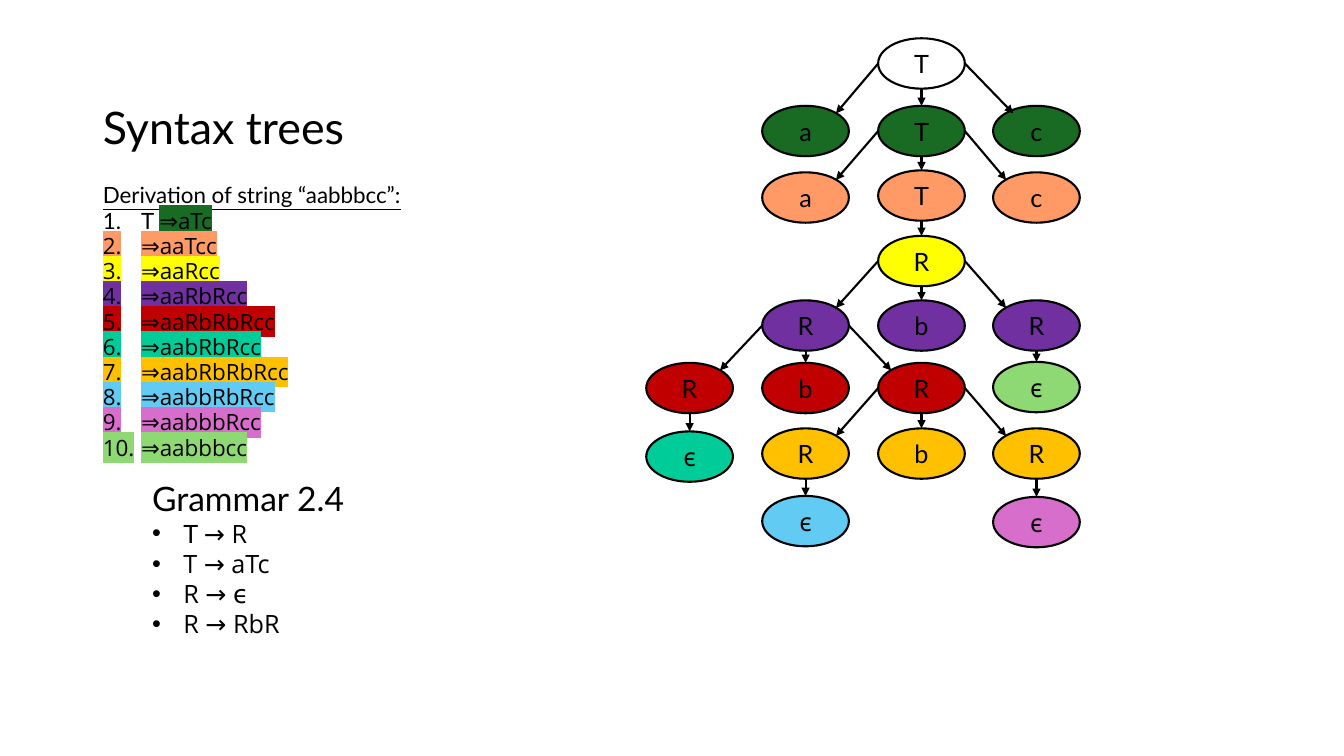
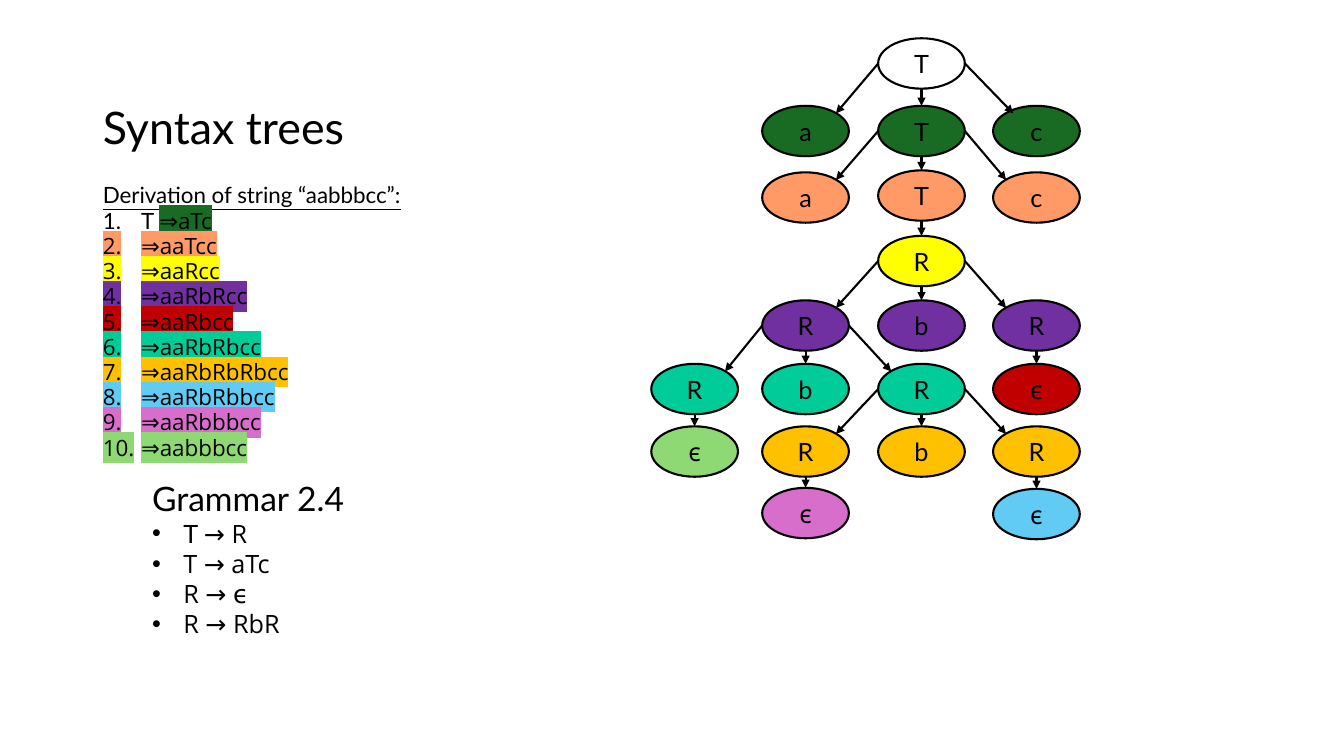
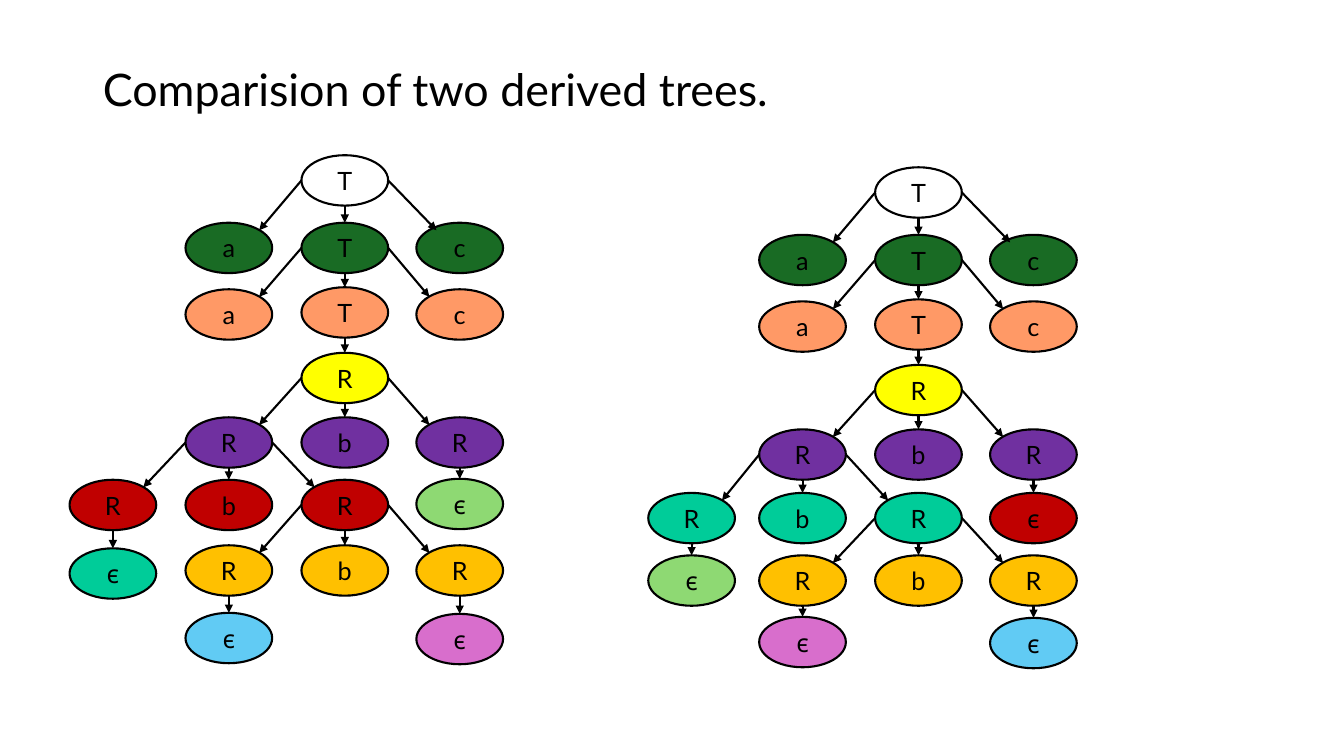
from collections import namedtuple

from lxml.etree import SubElement
from pptx import Presentation
from pptx.dml.color import RGBColor
from pptx.enum.shapes import MSO_CONNECTOR, MSO_SHAPE
from pptx.enum.text import MSO_ANCHOR, MSO_AUTO_SIZE, PP_ALIGN
from pptx.oxml.ns import qn
from pptx.util import Inches, Pt

Box = namedtuple("Box", "left top width height")
Node = namedtuple("Node", "key label fill x y parent tip_shift", defaults=[0])

TEXT_FONT, SYMBOL_FONT = "Lato", "Open Sans"
BLACK = "000000"
GREEN, ORANGE, YELLOW, PURPLE, RED = "196B24", "FF9966", "FFFF00", "7030A0", "C00000"
TEAL, GOLD, BLUE, PINK, LIME = "00CC99", "FFC000", "61CBF4", "D86ECC", "8ED973"
STEP_COLOURS = [GREEN, ORANGE, YELLOW, PURPLE, RED, TEAL, GOLD, BLUE, PINK, LIME]

NODE_WIDTH, NODE_HEIGHT = 0.86, 0.5
LEFT, MIDDLE, RIGHT = -1.15, 0, 1.14
DIAGONAL = 0.35

TITLE_BOX = Box(0.92, 0.5, 4.3, 1.08)
WIDE_TITLE_BOX = Box(0.92, 0.14, 7.54, 1.06)
DERIVATION_BOX = Box(0.92, 1.78, 4.3, 2.91)
GRAMMAR_BOX = Box(0.91, 4.69, 3.87, 1.72)

GRAMMAR_RULES = ["T → R", "T → aTc", "R → ϵ", "R → RbR"]
FIRST_STEPS = ["T ⇒aTc", "⇒aaTcc", "⇒aaRcc", "⇒aaRbRcc"]
LEFT_STEPS = FIRST_STEPS + [
    "⇒aaRbRbRcc", "⇒aabRbRcc", "⇒aabRbRbRcc", "⇒aabbRbRcc", "⇒aabbbRcc", "⇒aabbbcc"]
RIGHT_STEPS = FIRST_STEPS + [
    "⇒aaRbcc", "⇒aaRbRbcc", "⇒aaRbRbRbcc", "⇒aaRbRbbcc", "⇒aaRbbbcc", "⇒aabbbcc"]


def row_of_three(name, labels, fill, y, parent, left=LEFT, middle=MIDDLE, right=RIGHT):
    """Return three sibling nodes with keys such as name-0."""
    return [Node(f"{name}-{index}", label, fill, x, y, parent)
            for index, (label, x) in enumerate(zip(labels, (left, middle, right)))]


UPPER_NODES = [
    Node("root", "T", None, MIDDLE, 0, None),
    Node("outer-0", "a", GREEN, LEFT, 0.67, "root"),
    Node("outer-1", "T", GREEN, MIDDLE, 0.67, "root"),
    Node("outer-2", "c", GREEN, RIGHT, 0.67, "root", 0.07),
    Node("inner-0", "a", ORANGE, LEFT, 1.33, "outer-1"),
    Node("inner-1", "T", ORANGE, MIDDLE, 1.31, "outer-1"),
    Node("inner-2", "c", ORANGE, RIGHT, 1.33, "outer-1"),
    Node("start", "R", YELLOW, MIDDLE, 1.96, "inner-1"),
    *row_of_three("first", "RbR", PURPLE, 2.6, "start"),
]


def lower_nodes(far_left, split, second, leaves):
    """Return the nodes below the first R split; leaves hold fill and height."""
    split_fill, split_y = split
    leaf_columns = [("first-2", RIGHT), ("second-0", far_left), ("third-0", LEFT), ("third-2", RIGHT)]
    return [
        *row_of_three("second", "RbR", split_fill, split_y, "first-0", far_left, LEFT, MIDDLE),
        *row_of_three("third", "RbR", GOLD, second, "second-2"),
        *[Node(f"leaf-{parent}", "ϵ", fill, x, y, parent)
          for (parent, x), (fill, y) in zip(leaf_columns, leaves)],
    ]


LEFT_TREE = UPPER_NODES + lower_nodes(
    -2.3, (RED, 3.22), 3.87, [(LIME, 3.21), (TEAL, 3.9), (BLUE, 4.54), (PINK, 4.55)])
RIGHT_TREE = UPPER_NODES + lower_nodes(
    -2.25, (TEAL, 3.23), 3.85, [(RED, 3.23), (LIME, 3.85), (PINK, 4.46), (BLUE, 4.47)])


def rgb(colour):
    """Turn a hex string into a colour."""
    return RGBColor.from_string(colour)


def set_font(font, size, name=TEXT_FONT):
    """Apply size, typeface and black to a font."""
    font.size = Pt(size)
    font.name = name
    font.color.rgb = rgb(BLACK)


def place(shape, box):
    """Move and size a shape."""
    shape.left, shape.top, shape.width, shape.height = [Inches(length) for length in box]


def add_bullet(paragraph, tag, margin, indent, **attributes):
    """Give a paragraph its bullet element and hanging indent."""
    properties = paragraph._p.get_or_add_pPr()
    properties.set("marL", str(Inches(margin)))
    properties.set("indent", str(Inches(indent)))
    if tag == "buChar":
        SubElement(properties, qn("a:buFont"), typeface="Arial")
    SubElement(properties, qn(f"a:{tag}"), **attributes)


def highlight(run, colour):
    """Put a marker colour behind a run."""
    marker = SubElement(run._r.get_or_add_rPr(), qn("a:highlight"))
    SubElement(marker, qn("a:srgbClr"), val=colour)


def add_lead_run(paragraph, text):
    """Add a run in the plain text font."""
    run = paragraph.add_run()
    run.text = text
    run.font.name = TEXT_FONT


def add_symbol_run(paragraph, text):
    """Add a run in the paragraph's own font."""
    run = paragraph.add_run()
    run.text = text
    return run


def fill_title(slide, text, box):
    """Place and style the slide title."""
    title = slide.shapes.title
    place(title, box)
    frame = title.text_frame
    frame.text = text
    frame.vertical_anchor = MSO_ANCHOR.BOTTOM
    frame.auto_size = MSO_AUTO_SIZE.NONE
    paragraph = frame.paragraphs[0]
    paragraph.alignment = PP_ALIGN.LEFT
    paragraph.line_spacing = 0.9
    set_font(paragraph.font, 32)


def fill_derivation(slide, steps, box):
    """Write the numbered derivation into the body placeholder."""
    body = slide.placeholders[1]
    place(body, box)
    frame = body.text_frame
    frame.auto_size = MSO_AUTO_SIZE.NONE
    heading = frame.paragraphs[0]
    add_bullet(heading, "buNone", 0, 0)
    heading.add_run().text = "Derivation of string “aabbbcc”:"
    heading.line_spacing = 0.9
    heading.space_before = Pt(10)
    set_font(heading.font, 16)
    heading.font.underline = True
    for step, colour in zip(steps, STEP_COLOURS):
        paragraph = frame.add_paragraph()
        add_bullet(paragraph, "buAutoNum", 0.38, -0.38, type="arabicPeriod")
        paragraph.line_spacing = Pt(8)
        paragraph.space_before = Pt(10)
        set_font(paragraph.font, 16, SYMBOL_FONT)
        lead, arrow, result = step.partition("⇒")
        if lead:
            add_lead_run(paragraph, lead)
        highlight(add_symbol_run(paragraph, arrow + result), colour)


def add_grammar(slide, box):
    """Add the grammar heading and its bulleted rules."""
    frame = slide.shapes.add_textbox(*[Inches(length) for length in box]).text_frame
    frame.word_wrap = True
    heading = frame.paragraphs[0]
    heading.level = 1
    add_bullet(heading, "buNone", 0.5, 0)
    heading.add_run().text = "Grammar 2.4"
    set_font(heading.font, 24)
    for index, rule in enumerate(GRAMMAR_RULES):
        paragraph = frame.add_paragraph()
        paragraph.level = 1
        add_bullet(paragraph, "buChar", 0.81, -0.31, char="•")
        set_font(paragraph.font, 18, SYMBOL_FONT)
        if index == 0:
            add_lead_run(paragraph, rule[:2])
            rule = rule[2:]
        add_symbol_run(paragraph, rule)


def add_node(shapes, node, box):
    """Draw one labelled ellipse."""
    ellipse = shapes.add_shape(MSO_SHAPE.OVAL, *[Inches(length) for length in box])
    ellipse.shadow.inherit = False
    if node.fill:
        ellipse.fill.solid()
        ellipse.fill.fore_color.rgb = rgb(node.fill)
    else:
        ellipse.fill.background()
    ellipse.line.color.rgb = rgb(BLACK)
    ellipse.line.width = Pt(1.5)
    frame = ellipse.text_frame
    frame.text = node.label
    frame.vertical_anchor = MSO_ANCHOR.MIDDLE
    paragraph = frame.paragraphs[0]
    paragraph.alignment = PP_ALIGN.CENTER
    set_font(paragraph.font, 18, SYMBOL_FONT if node.label == "ϵ" else TEXT_FONT)


def add_branch(shapes, parent, child, side, tip_shift):
    """Draw an arrow from parent to child; side is -1, 0 or 1."""
    begin_x = parent.left + parent.width * (1 + side) / 2
    begin_y = parent.top + parent.height * (0.5 if side else 1)
    end_x = child.left + child.width * (0.5 - side * DIAGONAL) + tip_shift
    end_y = child.top + child.height * (0.5 - DIAGONAL if side else 0)
    arrow = shapes.add_connector(
        MSO_CONNECTOR.STRAIGHT, *[Inches(length) for length in (begin_x, begin_y, end_x, end_y)])
    arrow.line.color.rgb = rgb(BLACK)
    arrow.line.width = Pt(1.5)
    SubElement(arrow.line._get_or_add_ln(), qn("a:tailEnd"), type="triangle")
    SubElement(arrow._element.spPr, qn("a:effectLst"))


def add_tree(shapes, nodes, left, top):
    """Draw a syntax tree whose root ellipse starts at left, top."""
    boxes = {node.key: Box(left + node.x, top + node.y, NODE_WIDTH, NODE_HEIGHT) for node in nodes}
    columns = {node.key: node.x for node in nodes}
    for node in nodes:
        add_node(shapes, node, boxes[node.key])
        if node.parent:
            offset = node.x - columns[node.parent]
            side = (offset > 0) - (offset < 0)
            add_branch(shapes, boxes[node.parent], boxes[node.key], side, node.tip_shift)


def add_derivation_slide(presentation, steps, nodes):
    """Add a slide with a derivation, the grammar and the tree."""
    slide = presentation.slides.add_slide(presentation.slide_layouts[1])
    fill_title(slide, "Syntax trees", TITLE_BOX)
    fill_derivation(slide, steps, DERIVATION_BOX)
    add_grammar(slide, GRAMMAR_BOX)
    add_tree(slide.shapes, nodes, 8.71, 0.38)


def add_comparison_slide(presentation):
    """Add a slide with both trees side by side, each grouped."""
    slide = presentation.slides.add_slide(presentation.slide_layouts[5])
    fill_title(slide, "Comparision of two derived trees.", WIDE_TITLE_BOX)
    for nodes, left, top in [(LEFT_TREE, 2.99, 1.54), (RIGHT_TREE, 8.68, 1.66)]:
        add_tree(slide.shapes.add_group_shape().shapes, nodes, left, top)


def main():
    """Build and save the presentation."""
    presentation = Presentation()
    presentation.slide_width = Inches(13.33)
    presentation.slide_height = Inches(7.5)
    add_derivation_slide(presentation, LEFT_STEPS, LEFT_TREE)
    add_derivation_slide(presentation, RIGHT_STEPS, RIGHT_TREE)
    add_comparison_slide(presentation)
    presentation.save("out.pptx")


if __name__ == "__main__":
    main()
